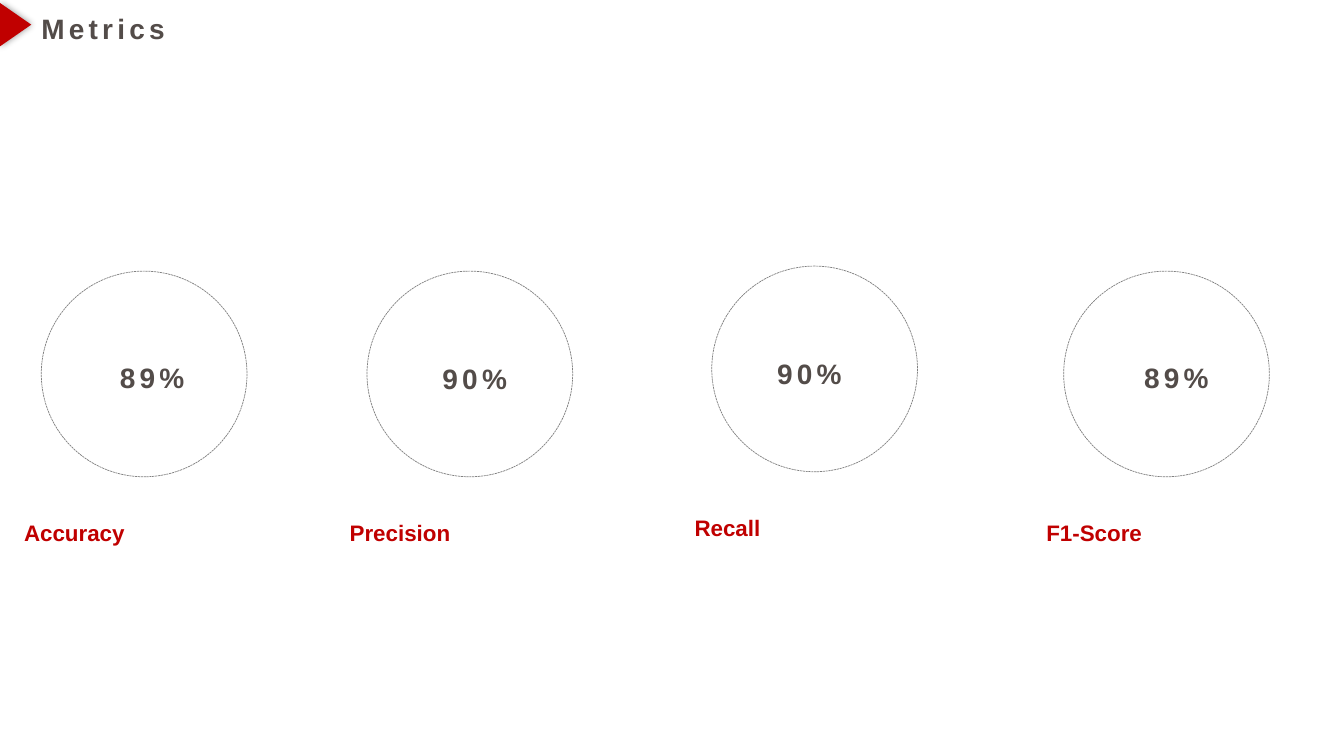
from dataclasses import dataclass

import lxml.etree
import pptx
import pptx.dml.color
import pptx.enum.dml
import pptx.enum.shapes
import pptx.enum.text
import pptx.oxml.ns
import pptx.shapes.base
import pptx.slide
import pptx.util

Inches = pptx.util.Inches
Align = pptx.enum.text.PP_ALIGN
ShapeKind = pptx.enum.shapes.MSO_SHAPE

COLOURS = {"accent": "C00000", "text": "534C49", "ring": "808080", "shadow": "000000"}
FONT = "Arial"
RING_SIZE = 2.04
LABEL_SHIFT_LEFT = -0.27
LABEL_SHIFT_DOWN = 2.41


@dataclass(frozen=True)
class Metric:
    name: str
    value: str
    ring_left: float
    ring_top: float
    value_left: float
    value_top: float


@dataclass(frozen=True)
class TextStyle:
    size: int
    colour: str
    align: Align
    spacing: int = 0


HEADING = TextStyle(20, "text", Align.LEFT, spacing=3)
LABEL = TextStyle(16, "accent", Align.JUSTIFY)

METRICS = [
    Metric("Accuracy", "89%", 0.41, 2.69, 1.09, 3.53),
    Metric("Precision", "90%", 3.64, 2.69, 4.29, 3.54),
    Metric("Recall", "90%", 7.06, 2.64, 7.61, 3.49),
    Metric("F1-Score", "89%", 10.55, 2.69, 11.25, 3.53),
]


def colour(name: str) -> pptx.dml.color.RGBColor:
    return pptx.dml.color.RGBColor.from_string(COLOURS[name])


def write_text(box: pptx.shapes.base.BaseShape, text: str, style: TextStyle,
               wrap: bool = True) -> None:
    frame = box.text_frame
    frame.text = text
    frame.word_wrap = wrap
    frame.auto_size = pptx.enum.text.MSO_AUTO_SIZE.SHAPE_TO_FIT_TEXT
    frame.vertical_anchor = pptx.enum.text.MSO_ANCHOR.TOP
    para = frame.paragraphs[0]
    para.alignment = style.align
    span = para.runs[0]
    span.font.name = FONT
    span.font.size = pptx.util.Pt(style.size)
    span.font.bold = True
    span.font.color.rgb = colour(style.colour)
    if style.spacing:
        span.font._element.set("spc", str(style.spacing * 100))


def add_title(page: pptx.slide.Slide, text: str) -> None:
    title = page.shapes.title
    title.left, title.top = Inches(0.31), Inches(0.06)
    title.width, title.height = Inches(1.48), Inches(0.44)
    write_text(title, text, HEADING, wrap=False)


def add_title_marker(page: pptx.slide.Slide) -> None:
    """Draw the right-pointing triangle with its soft shadow at the slide edge."""
    marker = page.shapes.add_shape(
        ShapeKind.ISOSCELES_TRIANGLE,
        Inches(-0.06), Inches(0.09), Inches(0.43), Inches(0.31))
    marker.rotation = 90
    marker.fill.solid()
    marker.fill.fore_color.rgb = colour("accent")
    marker.line.fill.background()
    marker.shadow.inherit = False
    qn = pptx.oxml.ns.qn
    effects = marker._element.spPr.find(qn("a:effectLst"))
    shadow = lxml.etree.SubElement(
        effects, qn("a:outerShdw"), blurRad=str(pptx.util.Pt(5)), dist="0", dir="0")
    tint = lxml.etree.SubElement(shadow, qn("a:srgbClr"), val=COLOURS["shadow"])
    lxml.etree.SubElement(tint, qn("a:alpha"), val="40000")


def add_metric(page: pptx.slide.Slide, metric: Metric) -> None:
    """Draw a dashed ring with its value inside and its name below."""
    ring = page.shapes.add_shape(
        ShapeKind.OVAL, Inches(metric.ring_left), Inches(metric.ring_top),
        Inches(RING_SIZE), Inches(RING_SIZE))
    ring.shadow.inherit = False
    ring.fill.background()
    ring.line.color.rgb = colour("ring")
    ring.line.width = pptx.util.Pt(0.5)
    ring.line.dash_style = pptx.enum.dml.MSO_LINE.SQUARE_DOT

    label = page.shapes.add_textbox(
        Inches(metric.ring_left + LABEL_SHIFT_LEFT),
        Inches(metric.ring_top + LABEL_SHIFT_DOWN), Inches(2.86), Inches(0.37))
    write_text(label, metric.name, LABEL)

    value = page.shapes.add_textbox(
        Inches(metric.value_left), Inches(metric.value_top), Inches(0.94), Inches(0.44))
    write_text(value, metric.value, HEADING)


def main() -> None:
    deck = pptx.Presentation()
    deck.slide_width, deck.slide_height = Inches(13.33), Inches(7.5)
    page = deck.slides.add_slide(deck.slide_layouts.get_by_name("Title Only"))
    add_title(page, "Metrics")
    add_title_marker(page)
    for metric in METRICS:
        add_metric(page, metric)
    deck.save("out.pptx")


if __name__ == "__main__":
    main()
